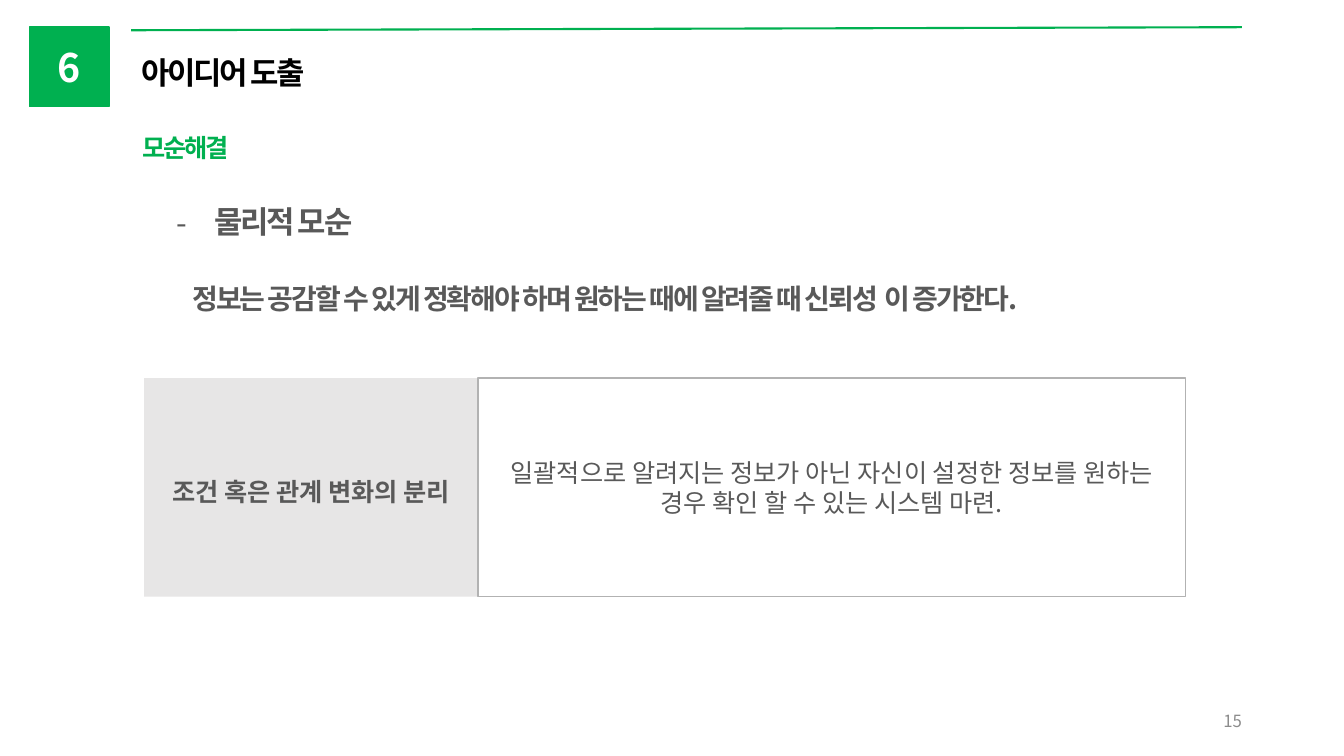
import pptx
import pptx.util
import pptx.dml.color
import pptx.enum.shapes
import pptx.enum.text
import pptx.oxml.ns
import lxml.etree

FONT = "Noto Sans CJK KR"
COLORS = {
    "green": "00B050",
    "black": "000000",
    "white": "FFFFFF",
    "text": "595959",
    "number": "8C8C8C",
    "label": "E7E6E6",
    "border": "B2B2B2",
}
ALIGN = pptx.enum.text.PP_ALIGN
ANCHOR = pptx.enum.text.MSO_ANCHOR
RECTANGLE = pptx.enum.shapes.MSO_SHAPE.RECTANGLE

presentation = pptx.Presentation()
presentation.slide_width = pptx.util.Inches(13.33)
presentation.slide_height = pptx.util.Inches(7.5)
column = presentation.slide_width / 100
row = presentation.slide_height / 100
slide = presentation.slides.add_slide(presentation.slide_layouts[5])


def grid(left, top, width, height):
    return [int(left * column), int(top * row), int(width * column), int(height * row)]


def write(paragraph, text, size, color, bold=False, spacing=0, align=ALIGN.LEFT):
    paragraph.alignment = align
    run = paragraph.add_run()
    run.text = text
    run.font.name = FONT
    run.font.size = pptx.util.Pt(size)
    run.font.bold = bold
    run.font.color.rgb = pptx.dml.color.RGBColor.from_string(COLORS[color])
    properties = run.font._element
    properties.set("spc", str(int(spacing * 100)))
    east_asian = lxml.etree.SubElement(properties, pptx.oxml.ns.qn("a:ea"))
    east_asian.set("typeface", FONT)


title = slide.shapes.title
title.left, title.top, title.width, title.height = grid(9.75, 6.4, 27.83, 6.27)
title.text_frame.auto_size = pptx.enum.text.MSO_AUTO_SIZE.NONE
title.text_frame.vertical_anchor = ANCHOR.TOP
write(title.text_frame.paragraphs[0], "아이디어 도출", 22, "black", True, -1.5)

header_line = slide.shapes.add_connector(
    pptx.enum.shapes.MSO_CONNECTOR.STRAIGHT, *grid(9.75, 4, 92.4, 3.6)
)
header_line.line.color.rgb = pptx.dml.color.RGBColor.from_string(COLORS["green"])
header_line.line.width = pptx.util.Pt(1.5)
lxml.etree.SubElement(header_line._element.spPr, pptx.oxml.ns.qn("a:effectLst"))

label_left, label_width = 10.73, 24.83
boxes = [
    (grid(2.18, 3.6, 5.93, 10.53), "green", "green", "6", 28, "white", True, 0.05),
    (grid(label_left, 50, label_width, 28.93), "label", None,
     "조건 혹은 관계 변화의 분리", 18, "text", True, 0.13),
    (grid(label_left + label_width, 50, 52.65, 28.93), None, "border",
     "일괄적으로 알려지는 정보가 아닌 자신이 설정한 정보를 원하는 경우 확인 할 수 있는 시스템 마련.",
     18, "text", False, 0.05),
]
for position, fill, border, text, size, color, bold, margin_top in boxes:
    shape = slide.shapes.add_shape(RECTANGLE, *position)
    shape.shadow.inherit = False
    if fill:
        shape.fill.solid()
        shape.fill.fore_color.rgb = pptx.dml.color.RGBColor.from_string(COLORS[fill])
    else:
        shape.fill.background()
    if border:
        shape.line.color.rgb = pptx.dml.color.RGBColor.from_string(COLORS[border])
        shape.line.width = pptx.util.Pt(1)
    else:
        shape.line.fill.background()
    frame = shape.text_frame
    frame.word_wrap = True
    frame.vertical_anchor = ANCHOR.MIDDLE
    frame.margin_top = pptx.util.Inches(margin_top)
    write(frame.paragraphs[0], text, size, color, bold, align=ALIGN.CENTER)

subtitle = slide.shapes.add_textbox(*grid(9.83, 16.8, 66.45, 5.33))
subtitle.text_frame.word_wrap = True
write(subtitle.text_frame.paragraphs[0], "모순해결", 18, "green", True, -1.5)

body = slide.shapes.add_textbox(*grid(12.38, 26.13, 74.93, 16.67))
body.text_frame.word_wrap = True
heading = body.text_frame.paragraphs[0]
write(heading, "물리적 모순", 22, "text", True, -1.5)
heading_properties = heading._element.get_or_add_pPr()
heading_properties.set("marL", str(pptx.util.Inches(0.38)))
heading_properties.set("indent", str(-pptx.util.Inches(0.38)))
bullet_font = lxml.etree.SubElement(heading_properties, pptx.oxml.ns.qn("a:buFont"))
bullet_font.set("typeface", FONT)
bullet = lxml.etree.SubElement(heading_properties, pptx.oxml.ns.qn("a:buChar"))
bullet.set("char", "-")

statement = body.text_frame.add_paragraph()
statement.space_before = pptx.util.Pt(30)
statement._element.get_or_add_pPr().set("marL", str(pptx.util.Inches(0.16)))
write(
    statement,
    "정보는 공감할 수 있게 정확해야 하며 원하는 때에 알려줄 때 신뢰성  이 증가한다.",
    20, "text", True, -1.5,
)

page_number = slide.shapes.add_textbox(*grid(70.65, 92.67, 22.5, 5.33))
page_number.text_frame.word_wrap = True
page_number.text_frame.vertical_anchor = ANCHOR.MIDDLE
write(page_number.text_frame.paragraphs[0], "15", 12, "number", align=ALIGN.RIGHT)

presentation.save("out.pptx")
